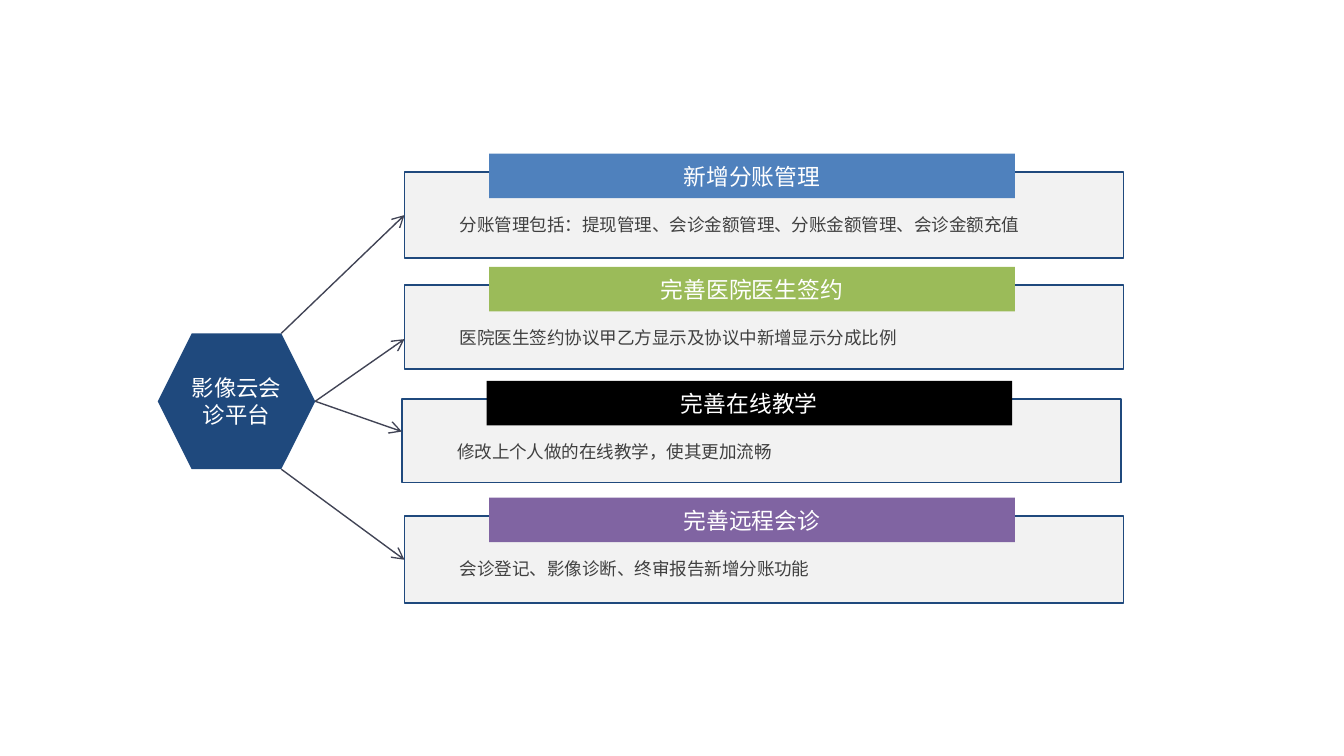
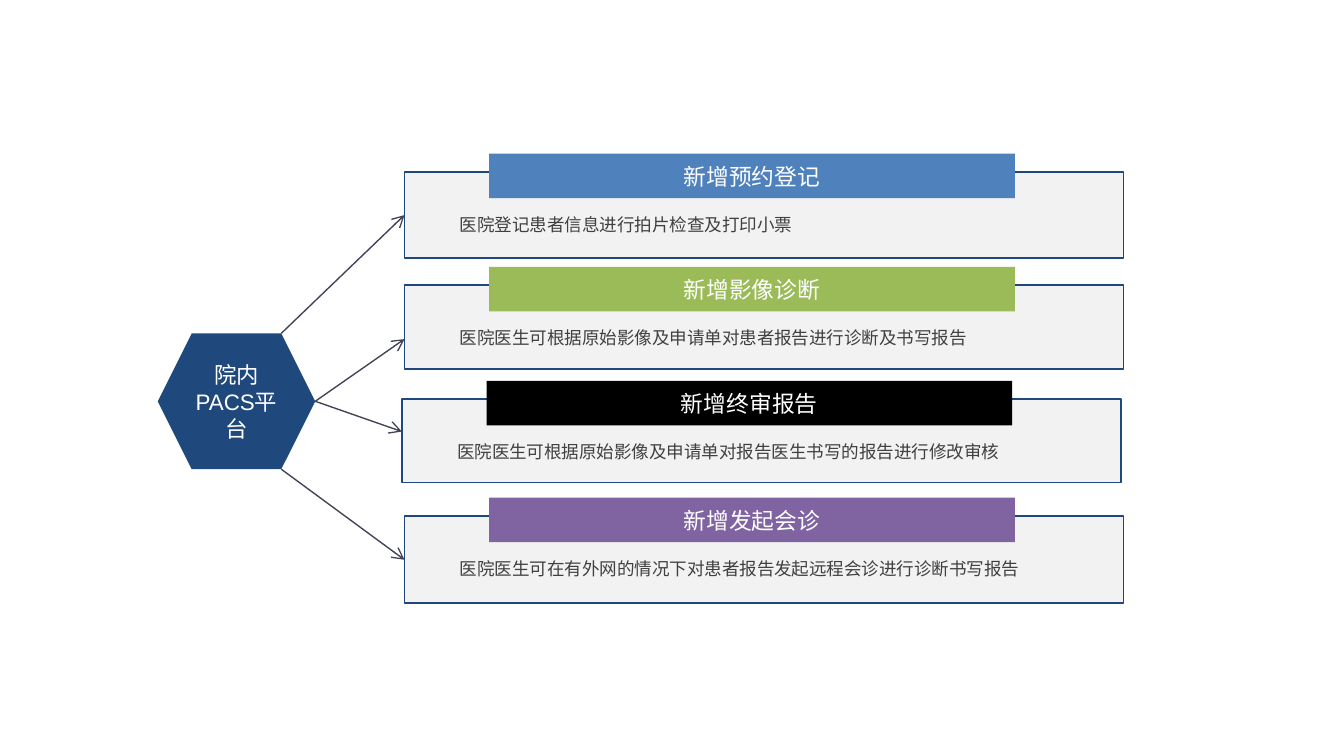
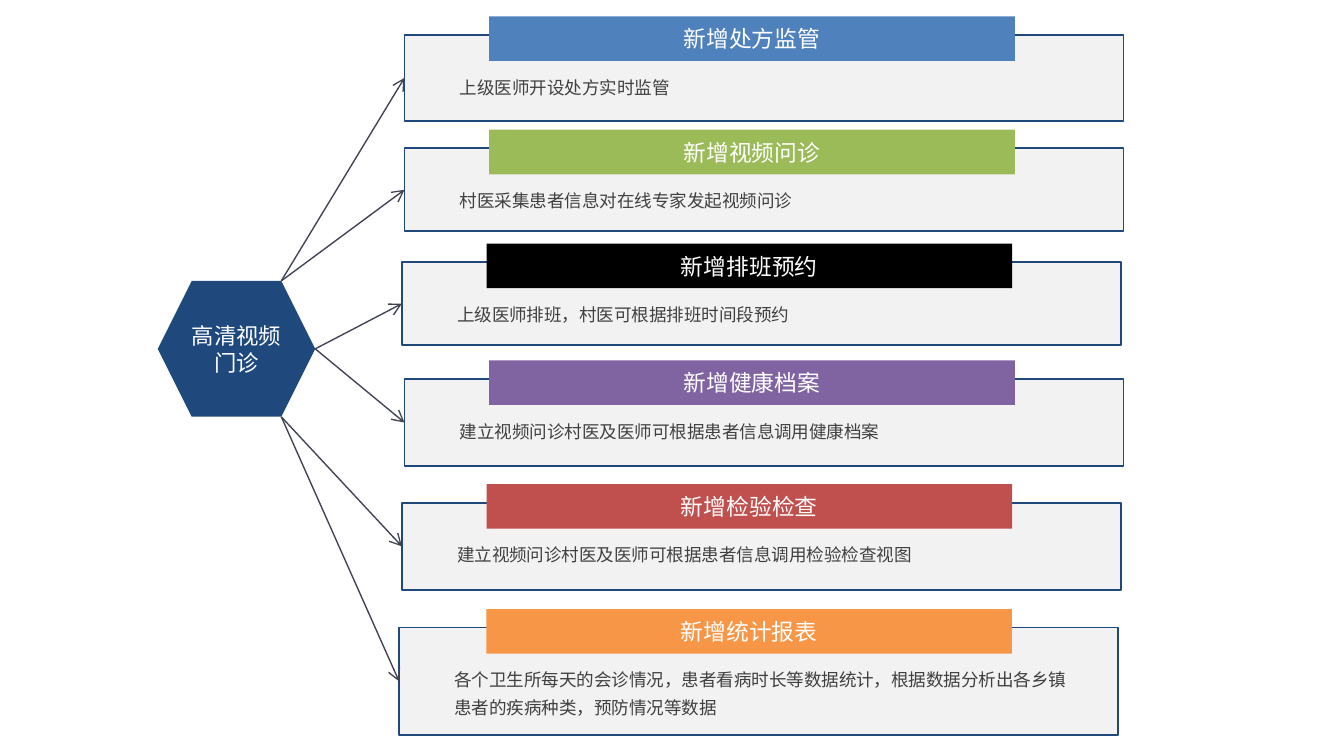
from collections import namedtuple
from dataclasses import dataclass

from lxml import etree
from pptx import Presentation
from pptx.dml.color import RGBColor
from pptx.enum.shapes import MSO_CONNECTOR, MSO_SHAPE
from pptx.enum.text import MSO_ANCHOR, MSO_AUTO_SIZE, PP_ALIGN
from pptx.oxml.ns import qn
from pptx.util import Pt

RECT, HEXAGON = MSO_SHAPE.RECTANGLE, MSO_SHAPE.HEXAGON
STRAIGHT = MSO_CONNECTOR.STRAIGHT
TOP, MIDDLE = MSO_ANCHOR.TOP, MSO_ANCHOR.MIDDLE
LEFT, CENTER = PP_ALIGN.LEFT, PP_ALIGN.CENTER
GROW = MSO_AUTO_SIZE.SHAPE_TO_FIT_TEXT

Box = namedtuple("Box", "x y w h")
Row = namedtuple("Row", "x dy h color note_h band_dx")


@dataclass(frozen=True)
class Theme:
    font: str = "Arial"
    navy: str = "1F497D"
    panel: str = "F2F2F2"
    arrow: str = "414455"
    note: str = "404040"
    white: str = "FFFFFF"
    hub_size: float = 12
    band_size: float = 12.2
    note_size: float = 9.4
    panel_line: float = 1
    arrow_line: float = 0.75


THEME = Theme()
INSETS = {"margin_left": Pt(5), "margin_right": Pt(5),
          "margin_top": Pt(2.4), "margin_bottom": Pt(2.4)}

PANEL_W = 385.2
BAND_W, BAND_H, BAND_RISE = 281.6, 23.9, 9.9
NOTE_DX, NOTE_DY, NOTE_W = 24.6, 16.6, 345.6
HUB_X, HUB_W, HUB_H = 84.5, 84.4, 72.8

ROWS = [
    Row(216.7, 0, 46.1, "4F81BD", 19.4, 45.4),
    Row(216.7, 60.7, 44.6, "9BBB59", 19.4, 45.4),
    Row(215.3, 121.7, 44.6, "000000", 19.4, 45.4),
    Row(216.7, 184.3, 46.8, "8064A2", 19.4, 45.4),
    Row(215.3, 250.6, 46.8, "C0504D", 19.4, 45.4),
    Row(213.8, 317.5, 57.6, "F79646", 34.6, 46.8),
]

FOUR_ARROWS = [("top", 0), ("right", 6.5), ("right", -5), ("bottom", 0)]
SIX_ARROWS = [(corner, 0) for corner in ("top", "right", "bottom")
              for side in range(2)]

SLIDES = [
    {"hub": "影像云会诊平台", "hub_y": 178.6, "rows_y": 92.2,
     "arrows": FOUR_ARROWS,
     "items": [
         ("新增分账管理", "分账管理包括：提现管理、会诊金额管理、分账金额管理、会诊金额充值"),
         ("完善医院医生签约", "医院医生签约协议甲乙方显示及协议中新增显示分成比例"),
         ("完善在线教学", "修改上个人做的在线教学，使其更加流畅"),
         ("完善远程会诊", "会诊登记、影像诊断、终审报告新增分账功能"),
     ]},
    {"hub": "院内PACS平台", "hub_y": 178.6, "rows_y": 92.2,
     "arrows": FOUR_ARROWS,
     "items": [
         ("新增预约登记", "医院登记患者信息进行拍片检查及打印小票"),
         ("新增影像诊断", "医院医生可根据原始影像及申请单对患者报告进行诊断及书写报告"),
         ("新增终审报告", "医院医生可根据原始影像及申请单对报告医生书写的报告进行修改审核"),
         ("新增发起会诊", "医院医生可在有外网的情况下对患者报告发起远程会诊进行诊断书写报告"),
     ]},
    {"hub": "高清视频门诊", "hub_y": 150.5, "rows_y": 18.7,
     "arrows": SIX_ARROWS,
     "items": [
         ("新增处方监管", "上级医师开设处方实时监管"),
         ("新增视频问诊", "村医采集患者信息对在线专家发起视频问诊"),
         ("新增排班预约", "上级医师排班，村医可根据排班时间段预约"),
         ("新增健康档案", "建立视频问诊村医及医师可根据患者信息调用健康档案"),
         ("新增检验检查", "建立视频问诊村医及医师可根据患者信息调用检验检查视图"),
         ("新增统计报表", "各个卫生所每天的会诊情况，患者看病时长等数据统计，"
                    "根据数据分析出各乡镇患者的疾病种类，预防情况等数据"),
     ]},
]


def apply(target, formats):
    for name, value in formats.items():
        setattr(target, name, value)


def rgb(color):
    return RGBColor.from_string(color)


def write(sp, text, size, color, frame, para):
    tf = sp.text_frame
    apply(tf, {"word_wrap": True, **INSETS, **frame})
    p = tf.paragraphs[0]
    apply(p, para)
    r = p.add_run()
    r.text = text
    apply(r.font, {"name": THEME.font, "size": Pt(size)})
    r.font.color.rgb = rgb(color)


def add_block(s, kind, box, fill, line=None):
    sp = s.shapes.add_shape(kind, *map(Pt, box))
    sp.shadow.inherit = False
    sp.fill.solid()
    sp.fill.fore_color.rgb = rgb(fill)
    if line:
        sp.line.color.rgb = rgb(line)
        sp.line.width = Pt(THEME.panel_line)
    else:
        sp.line.fill.background()
    return sp


def add_label(s, kind, box, fill, text, size):
    sp = add_block(s, kind, box, fill)
    write(sp, text, size, THEME.white,
          {"vertical_anchor": MIDDLE}, {"alignment": CENTER})


def add_arrow(s, start, end):
    cn = s.shapes.add_connector(STRAIGHT, *map(Pt, start + end))
    cn.line.color.rgb = rgb(THEME.arrow)
    cn.line.width = Pt(THEME.arrow_line)
    etree.SubElement(cn.line._get_or_add_ln(), qn("a:tailEnd"), type="arrow")
    etree.SubElement(cn._element.spPr, qn("a:effectLst"))


def add_row(s, box, row, heading, note):
    add_block(s, RECT, box, THEME.panel, THEME.navy)
    band = Box(box.x + row.band_dx, box.y - BAND_RISE, BAND_W, BAND_H)
    add_label(s, RECT, band, row.color, heading, THEME.band_size)
    note_box = Box(box.x + NOTE_DX, box.y + NOTE_DY, NOTE_W, row.note_h)
    sp = s.shapes.add_textbox(*map(Pt, note_box))
    write(sp, note, THEME.note_size, THEME.note,
          {"vertical_anchor": TOP, "auto_size": GROW},
          {"alignment": LEFT, "line_spacing": 1.3})


def add_hub(s, box, text):
    add_label(s, HEXAGON, box, THEME.navy, text, THEME.hub_size)
    right = box.x + box.w
    corner_x = right - box.h / 4
    return {"top": (corner_x, box.y),
            "right": (right, box.y + box.h / 2),
            "bottom": (corner_x, box.y + box.h)}


def build_hub_slide(prs, hub, hub_y, rows_y, arrows, items):
    s = prs.slides.add_slide(prs.slide_layouts[6])
    corners = add_hub(s, Box(HUB_X, hub_y, HUB_W, HUB_H), hub)
    for row, (heading, note), (corner, nudge) in zip(ROWS, items, arrows):
        box = Box(row.x, rows_y + row.dy, PANEL_W, row.h)
        add_row(s, box, row, heading, note)
        add_arrow(s, corners[corner], (box.x, box.y + box.h / 2 + nudge))


def main():
    prs = Presentation()
    apply(prs, {"slide_width": Pt(720), "slide_height": Pt(405)})
    for content in SLIDES:
        build_hub_slide(prs, **content)
    prs.save("out.pptx")


if __name__ == "__main__":
    main()
